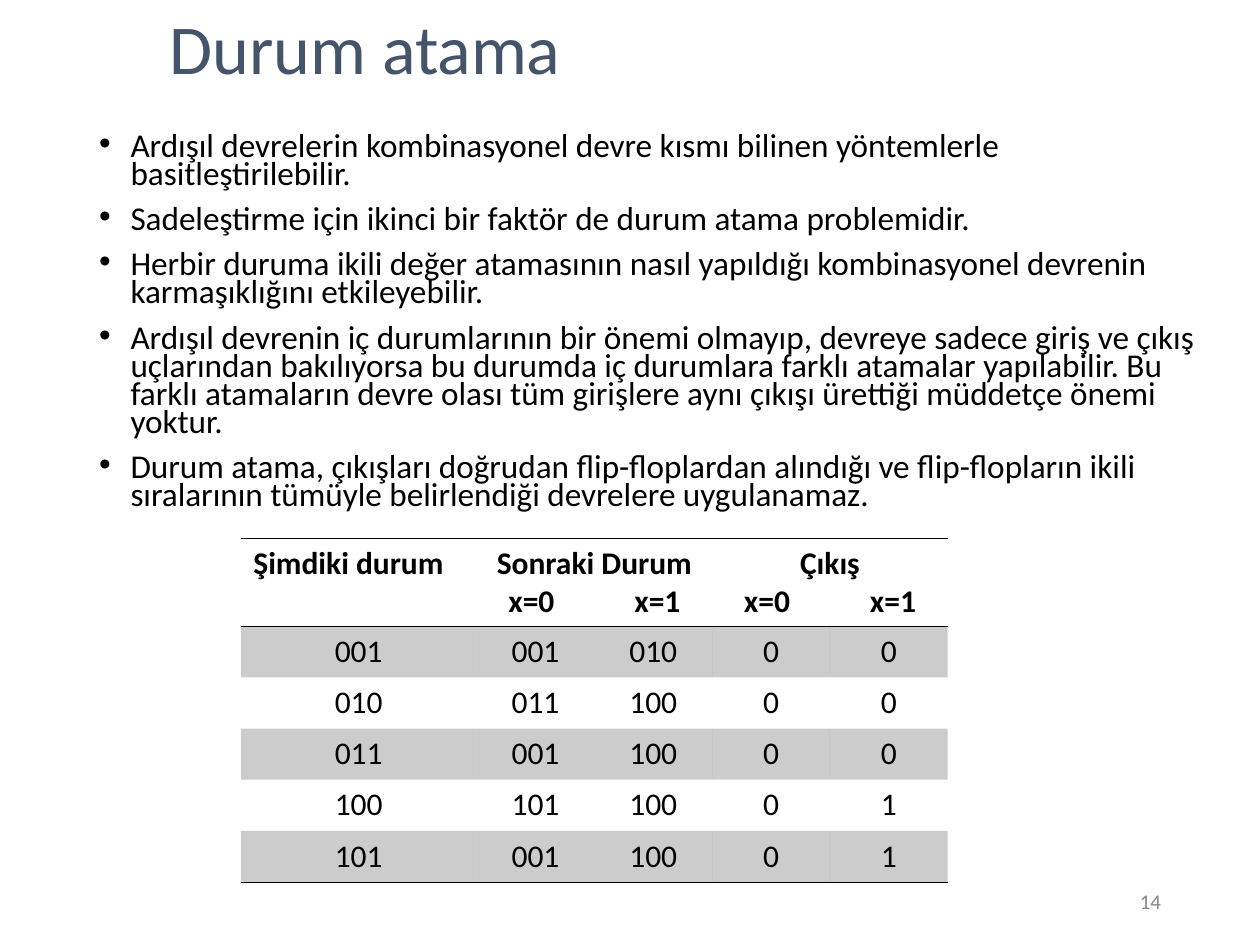
from dataclasses import dataclass

import pptx
import pptx.dml.color
import pptx.enum.text
import pptx.oxml.ns
import pptx.util
from lxml import etree

Pt = pptx.util.Pt
Align = pptx.enum.text.PP_ALIGN
Anchor = pptx.enum.text.MSO_ANCHOR
Color = pptx.dml.color.RGBColor
qn = pptx.oxml.ns.qn

BLACK = Color(0x00, 0x00, 0x00)
SLATE = Color(0x44, 0x54, 0x6A)
GRAY = Color(0x89, 0x89, 0x89)
FONT = "Calibri"
INCH = 72
RULE_WIDTH = 0.45
BAND_OPACITY = 20


@dataclass(frozen=True)
class Area:
    left: float
    top: float
    width: float
    height: float

    def lengths(self) -> tuple:
        return Pt(self.left), Pt(self.top), Pt(self.width), Pt(self.height)


@dataclass(frozen=True)
class Heading:
    column: int
    lines: tuple
    span: int = 1


TITLE_AREA = Area(90, 6, 612, 48)
BULLET_AREA = Area(49.5, 73.5, 652.5, 224)
TABLE_AREA = Area(137.6, 307.5, 404, 196.4)
NUMBER_AREA = Area(508.5, 500.5, 162, 28.75)

BULLETS = (
    "Ardışıl devrelerin kombinasyonel devre kısmı bilinen yöntemlerle basitleştirilebilir.",
    "Sadeleştirme için ikinci bir faktör de durum atama problemidir.",
    "Herbir duruma ikili değer atamasının nasıl yapıldığı kombinasyonel devrenin "
    "karmaşıklığını etkileyebilir.",
    "Ardışıl devrenin iç durumlarının bir önemi olmayıp, devreye sadece giriş ve çıkış "
    "uçlarından bakılıyorsa bu durumda iç durumlara farklı atamalar yapılabilir. Bu farklı "
    "atamaların devre olası tüm girişlere aynı çıkışı ürettiği müddetçe önemi yoktur.",
    "Durum atama, çıkışları doğrudan flip-floplardan alındığı ve flip-flopların ikili "
    "sıralarının tümüyle belirlendiği devrelere uygulanamaz.",
)

HEADINGS = (
    Heading(0, ("Şimdiki durum\t",)),
    Heading(1, ("Sonraki Durum", "x=0\tx=1"), span=2),
    Heading(3, ("Çıkış", "x=0\tx=1"), span=2),
)
STATES = (
    ("001", "001", "010", "0", "0"),
    ("010", "011", "100", "0", "0"),
    ("011", "001", "100", "0", "0"),
    ("100", "101", "100", "0", "1"),
    ("101", "001", "100", "0", "1"),
)
COLUMN_WIDTHS = (134.8, 67.3, 67.3, 67.3, 67.3)
HEADER_HEIGHT = 50.4
STATE_HEIGHT = (TABLE_AREA.height - HEADER_HEIGHT) / len(STATES)


def write(frame, *lines: str, size: float, color=BLACK, bold=False,
          align=Align.LEFT, bullet=False, first_tab=0) -> None:
    """Fill a text frame with one paragraph per line."""
    for index, line in enumerate(lines):
        para = frame.paragraphs[0] if index == 0 else frame.add_paragraph()
        para.alignment = align
        properties = para._p.get_or_add_pPr()
        if bullet:
            para.line_spacing = 0.7
            para.space_before = Pt(10)
            properties.set("marL", str(Pt(18)))
            properties.set("indent", str(Pt(-18)))
            bullet_color = etree.SubElement(properties, qn("a:buClr"))
            etree.SubElement(bullet_color, qn("a:srgbClr"), val=str(color))
            etree.SubElement(properties, qn("a:buFont"), typeface="Arial")
            etree.SubElement(properties, qn("a:buChar"), char="•")
        tabs = etree.SubElement(properties, qn("a:tabLst"))
        for stop in range(first_tab, first_tab + 8):
            etree.SubElement(tabs, qn("a:tab"), pos=str(Pt(stop * INCH)), algn="l")
        span = para.add_run()
        span.text = line
        span.font.name = FONT
        span.font.size = Pt(size)
        span.font.bold = bold
        span.font.color.rgb = color


def add_text(page, area: Area, *lines: str, anchor=Anchor.TOP, **text_format) -> None:
    box = page.shapes.add_textbox(*area.lengths())
    frame = box.text_frame
    frame.word_wrap = True
    frame.vertical_anchor = anchor
    write(frame, *lines, **text_format)


def style_cell(cell, ruled_sides: str, banded: bool) -> None:
    """Rule the named sides (T, B), clear the others, and shade banded cells."""
    properties = cell._tc.get_or_add_tcPr()
    for side in "LRTB":
        if side in ruled_sides:
            line = etree.SubElement(properties, qn(f"a:ln{side}"), w=str(Pt(RULE_WIDTH)))
            solid = etree.SubElement(line, qn("a:solidFill"))
            etree.SubElement(solid, qn("a:srgbClr"), val=str(BLACK))
        else:
            line = etree.SubElement(properties, qn(f"a:ln{side}"), w="0")
            etree.SubElement(line, qn("a:noFill"))
    if banded:
        cell.fill.solid()
        cell.fill.fore_color.rgb = BLACK
        shade = properties.find(f"{qn('a:solidFill')}/{qn('a:srgbClr')}")
        etree.SubElement(shade, qn("a:alpha"), val=str(BAND_OPACITY * 1000))
    else:
        cell.fill.background()


def add_state_table(page) -> None:
    row_count = len(STATES) + 1
    shape = page.shapes.add_table(row_count, len(COLUMN_WIDTHS), *TABLE_AREA.lengths())
    table = shape.table
    table.first_row = False
    table.horz_banding = False
    for column, width in zip(table.columns, COLUMN_WIDTHS):
        column.width = Pt(width)
    for index, row in enumerate(table.rows):
        row.height = Pt(STATE_HEIGHT if index else HEADER_HEIGHT)
        ruled_sides = {0: "TB", 1: "T", row_count - 1: "B"}.get(index, "")
        for cell in row.cells:
            style_cell(cell, ruled_sides, banded=index % 2 == 1)

    # Header row
    for heading in HEADINGS:
        cell = table.cell(0, heading.column)
        if heading.span > 1:
            cell.merge(table.cell(0, heading.column + heading.span - 1))
        write(cell.text_frame, *heading.lines, size=18, bold=True, align=Align.CENTER)

    # State rows
    for row_index, values in enumerate(STATES, start=1):
        for column_index, value in enumerate(values):
            frame = table.cell(row_index, column_index).text_frame
            write(frame, value, size=18, align=Align.CENTER)


def main() -> None:
    deck = pptx.Presentation()
    deck.slide_width = Pt(10 * INCH)
    deck.slide_height = Pt(7.5 * INCH)
    page = deck.slides.add_slide(deck.slide_layouts[6])

    # Title and bullets
    add_text(page, TITLE_AREA, "Durum atama", size=40, color=SLATE, anchor=Anchor.BOTTOM)
    add_text(page, BULLET_AREA, *BULLETS, size=19, bullet=True, first_tab=1)

    # State table
    add_state_table(page)

    # Page number
    add_text(page, NUMBER_AREA, "14", size=12, color=GRAY, align=Align.RIGHT,
             anchor=Anchor.MIDDLE)

    deck.save("out.pptx")


if __name__ == "__main__":
    main()
